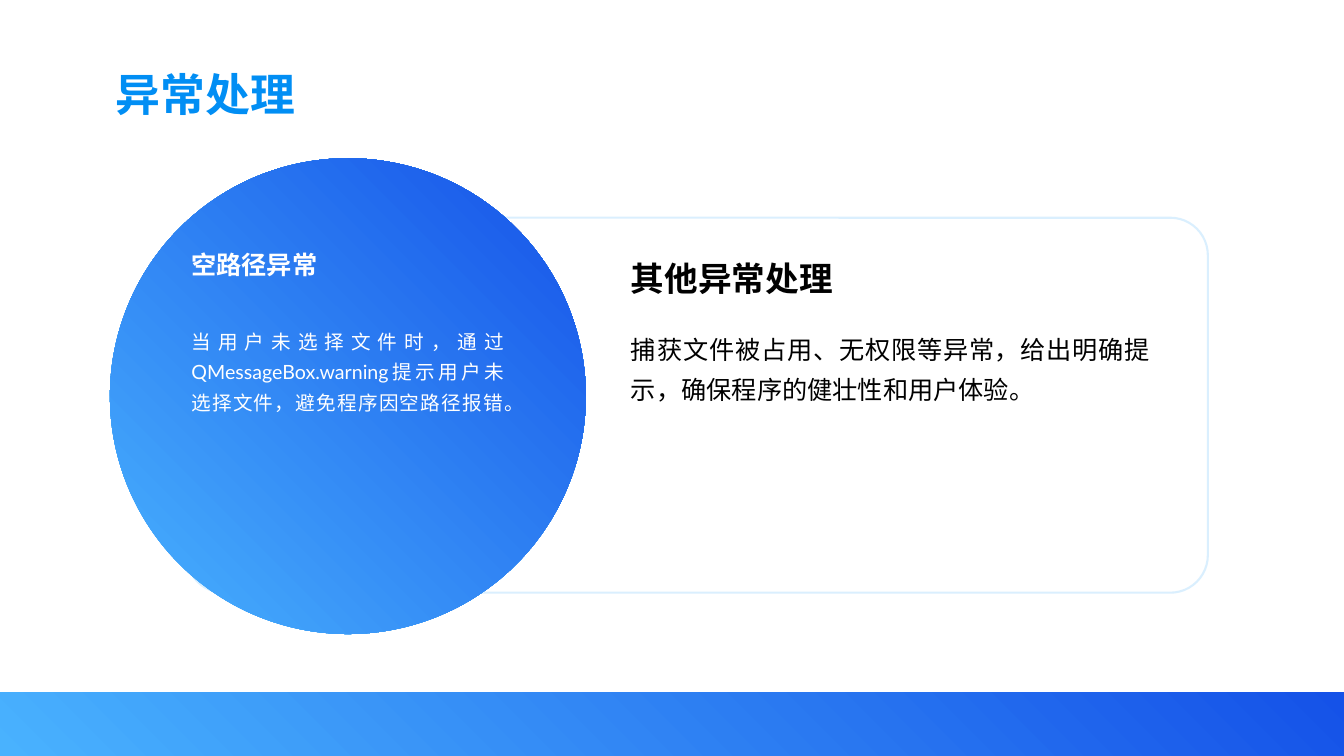
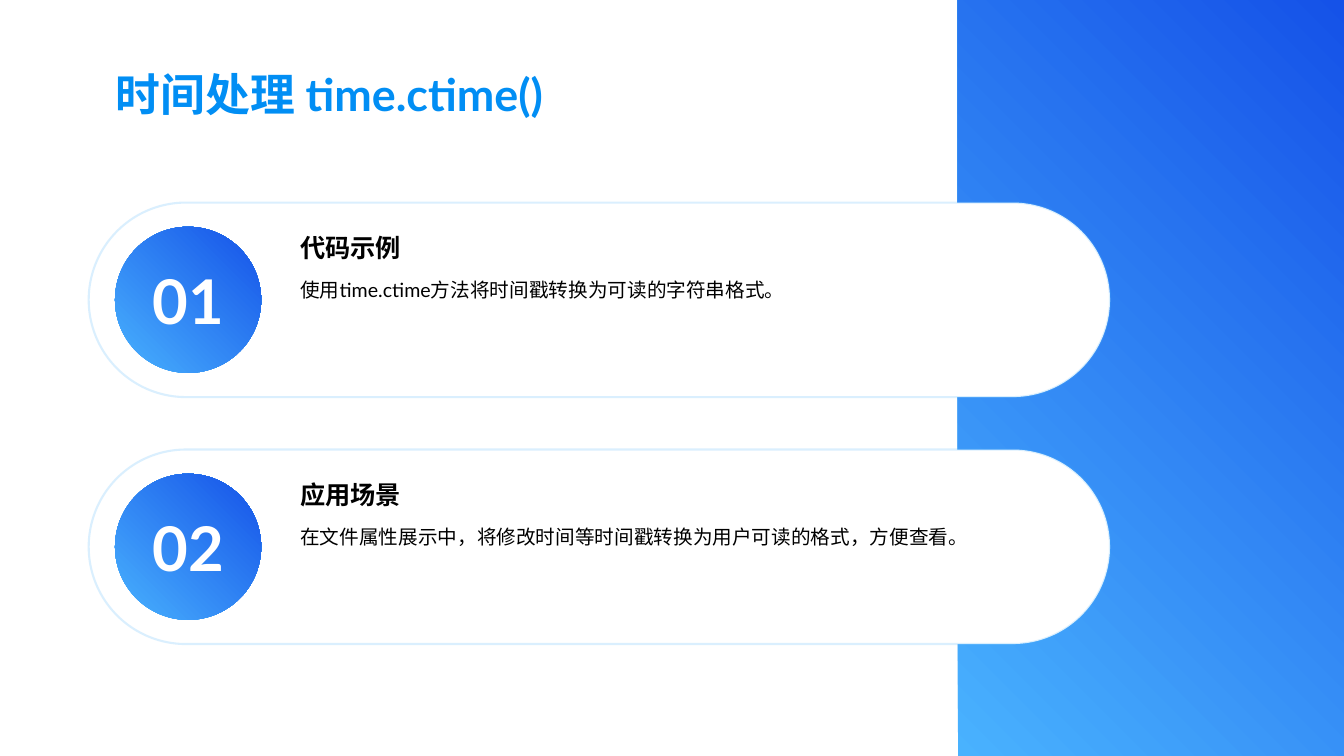
from lxml import etree
from pptx import Presentation
from pptx import util as u
from pptx.dml import color as dml
from pptx.enum import shapes, text
from pptx.oxml import ns

WIDTH, HEIGHT = 13.33, 7.5
FONT = "Lato"
TITLE_BLUE, SKY, ROYAL = "018EF4", "49B2FE", "1552E8"
WHITE, BLACK = "FFFFFF", "000000"
RECT, ROUND, OVAL = (shapes.MSO_SHAPE.RECTANGLE, shapes.MSO_SHAPE.ROUNDED_RECTANGLE,
                     shapes.MSO_SHAPE.OVAL)
LEFT, CENTER, JUSTIFY = text.PP_ALIGN.LEFT, text.PP_ALIGN.CENTER, text.PP_ALIGN.JUSTIFY
TOP, MIDDLE = text.MSO_ANCHOR.TOP, text.MSO_ANCHOR.MIDDLE


def rgb(value):
    return dml.RGBColor.from_string(value)


def write(shape, words, size, color, bold=False, align=JUSTIFY, anchor=TOP,
          spacing=1.0, side=0.1):
    frame = shape.text_frame
    settings = {"word_wrap": True, "auto_size": text.MSO_AUTO_SIZE.NONE,
                "vertical_anchor": anchor, "margin_top": 0, "margin_bottom": 0,
                "margin_left": u.Inches(side), "margin_right": u.Inches(side)}
    for name, value in settings.items():
        setattr(frame, name, value)
    para = frame.paragraphs[0]
    para.alignment = align
    para.line_spacing = spacing
    span = para.add_run()
    span.text = words
    for name, value in {"name": FONT, "size": u.Pt(size), "bold": bold}.items():
        setattr(span.font, name, value)
    span.font.color.rgb = rgb(color)


def add_text(page, box, words, size, color, **style):
    shape = page.shapes.add_textbox(*map(u.Inches, box))
    write(shape, words, size, color, **style)


def add_shape(page, kind, box):
    shape = page.shapes.add_shape(kind, *map(u.Inches, box))
    shape.shadow.inherit = False
    return shape


def add_gradient(page, kind, box):
    """Add a borderless shape shaded from lower left to upper right."""
    shape = add_shape(page, kind, box)
    shape.line.fill.background()
    shape.fill.gradient()
    shape.fill.gradient_angle = 45
    for stop, value in zip(shape.fill.gradient_stops, (SKY, ROYAL)):
        stop.color.rgb = rgb(value)
    return shape


def add_card(page, box, rounding):
    """Add a white rounded card with a faint blue outline."""
    card = add_shape(page, ROUND, box)
    card.adjustments[0] = rounding
    card.fill.solid()
    card.fill.fore_color.rgb = rgb(WHITE)
    card.line.width = u.Pt(1.5)
    card.line.color.rgb = rgb(SKY)
    outline = card._element.xpath(".//a:ln//a:srgbClr")[0]
    etree.SubElement(outline, ns.qn("a:alpha"), val="20000")


def add_page(deck, title, band):
    """Add a slide with the shared title style and a gradient band."""
    page = deck.slides.add_slide(deck.slide_layouts[5])
    add_gradient(page, RECT, band)
    heading = page.shapes.title
    position = {"left": 1.05, "top": 0.66, "width": 10.72, "height": 0.64}
    for name, value in position.items():
        setattr(heading, name, u.Inches(value))
    write(heading, title, 32, TITLE_BLUE, bold=True, align=LEFT)
    return page


def add_circle_topic(page, box, heading, body):
    left, top, width, height = box
    add_gradient(page, OVAL, box)
    inner = left + 0.71
    add_text(page, (inner, top + 0.9, 3.3, 0.3), heading, 18, WHITE, bold=True)
    add_text(page, (inner, top + 1.63, 3.3, 1.27), body, 14, WHITE, spacing=1.3)


def add_card_topic(page, box, heading, body):
    left, top, width, height = box
    add_card(page, box, 0.1)
    inner = left + 4.31
    add_text(page, (inner, top + 0.4, 5.08, 0.4), heading, 24, BLACK, bold=True)
    add_text(page, (inner, top + 1.07, 5.35, 0.78), body, 18, BLACK, spacing=1.3)


def add_numbered_pill(page, box, number, heading, body):
    left, top, width, height = box
    add_card(page, box, 0.5)
    badge = add_gradient(page, OVAL, (left + 0.26, top + 0.24, 1.45, 1.45))
    write(badge, number, 44, WHITE, bold=True, align=CENTER, anchor=MIDDLE, side=0)
    inner = left + 2
    add_text(page, (inner, top + 0.3, 7.41, 0.4), heading, 18, BLACK, bold=True)
    add_text(page, (inner, top + 0.68, 7.41, 1.02), body, 14, BLACK, spacing=1.3)


def build_exceptions(deck):
    page = add_page(deck, "异常处理", (0, 6.87, WIDTH, HEIGHT - 6.87))
    add_card_topic(page, (1.85, 2.16, 10.13, 3.72), "其他异常处理",
                   "捕获文件被占用、无权限等异常，给出明确提示，确保程序的健壮性和用户体验。")
    add_circle_topic(page, (1.09, 1.57, 4.72, 4.72), "空路径异常",
                     "当用户未选择文件时，通过QMessageBox.warning提示用户未选择文件，"
                     "避免程序因空路径报错。")


def build_time(deck):
    page = add_page(deck, "时间处理 time.ctime()", (9.5, 0, WIDTH - 9.5, HEIGHT))
    topics = [
        ("代码示例", "使用time.ctime方法将时间戳转换为可读的字符串格式。"),
        ("应用场景", "在文件属性展示中，将修改时间等时间戳转换为用户可读的格式，方便查看。"),
    ]
    for index, (heading, body) in enumerate(topics):
        box = (0.88, 2.01 + 2.45 * index, 10.13, 1.93)
        add_numbered_pill(page, box, f"{index + 1:02}", heading, body)


def main():
    deck = Presentation()
    deck.slide_width, deck.slide_height = u.Inches(WIDTH), u.Inches(HEIGHT)
    build_exceptions(deck)
    build_time(deck)
    deck.save("out.pptx")


if __name__ == "__main__":
    main()
